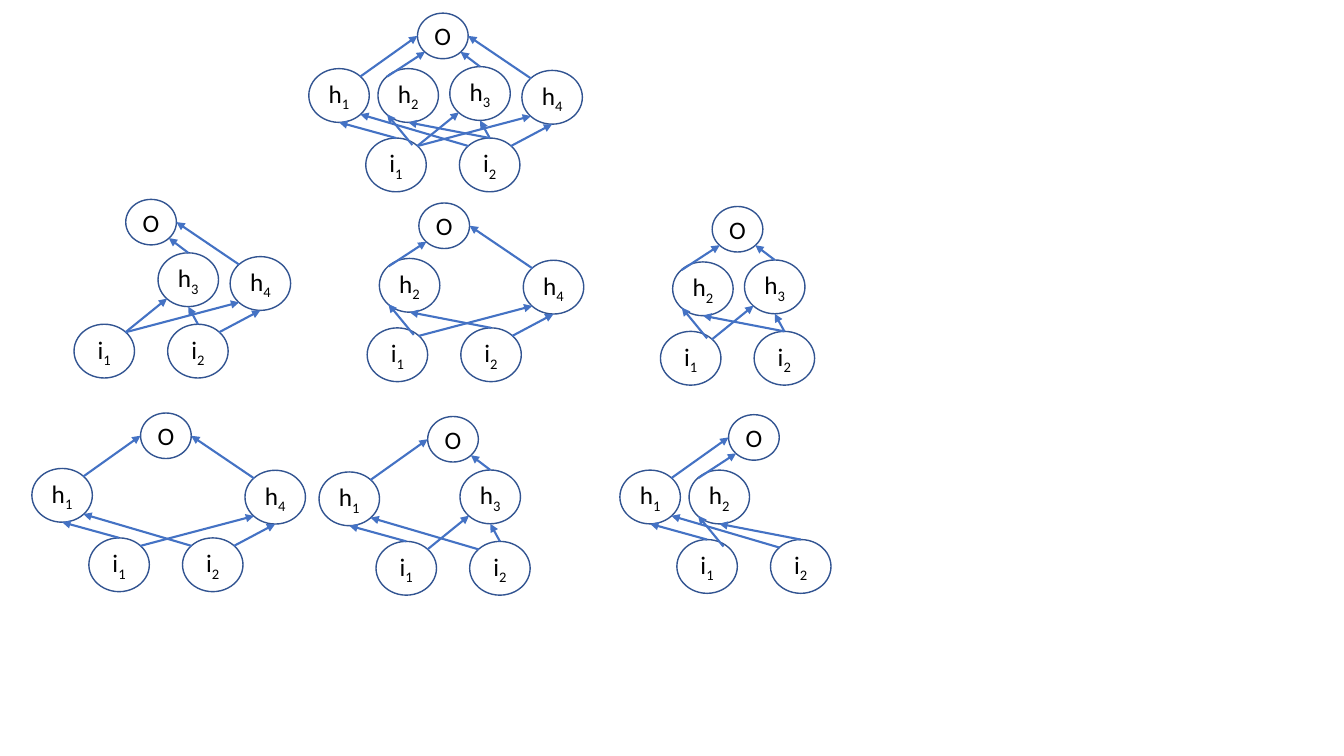
from lxml import etree
from pptx import Presentation
from pptx.dml.color import RGBColor
from pptx.enum.shapes import MSO_CONNECTOR, MSO_SHAPE
from pptx.enum.text import MSO_ANCHOR, PP_ALIGN
from pptx.oxml.ns import qn
from pptx.util import Pt

ELLIPSE = MSO_SHAPE.OVAL
STRAIGHT = MSO_CONNECTOR.STRAIGHT
MIDDLE = MSO_ANCHOR.MIDDLE
CENTER = PP_ALIGN.CENTER

OUTPUT_SIZE = (36.2, 32.5)
NEURON_SIZE = (43.2, 38.4)
FRAME_FORMAT = {
    "margin_left": 0, "margin_right": 0, "margin_top": 0, "margin_bottom": 0,
    "vertical_anchor": MIDDLE, "word_wrap": False,
}
FONT_FORMAT = {"name": "Calibri", "size": Pt(18)}

neuron_offsets = {
    "O": (0, 0),
    "h1": (-77.6, 39.6),
    "h2": (-28.2, 39.6),
    "h3": (23.1, 38.2),
    "h4": (74.6, 40.9),
    "i1": (-36.9, 89.2),
    "i2": (30, 89.2),
}
sites = {
    "top": (0.5, 0), "bottom": (0.5, 1), "left": (0, 0.5), "right": (1, 0.5),
    "top left": (0.15, 0.15), "top right": (0.85, 0.15),
    "bottom left": (0.15, 0.85), "bottom right": (0.85, 0.85),
    "inside": (0.77, 0.13),
}
links = [
    ("h1", "top right", "O", "left"),
    ("h2", "top left", "O", "bottom left"),
    ("h3", "top", "O", "bottom right"),
    ("h4", "top left", "O", "right"),
    ("i1", "top", "h1", "bottom"),
    ("i1", "inside", "h2", "bottom left"),
    ("i1", "top right", "h3", "bottom left"),
    ("i1", "top right", "h4", "bottom left"),
    ("i2", "top left", "h1", "bottom right"),
    ("i2", "top", "h2", "bottom"),
    ("i2", "top", "h3", "bottom"),
    ("i2", "top right", "h4", "bottom"),
]
networks = [
    (298.2, 9.4, ["h1", "h2", "h3", "h4"]),
    (89.8, 142.4, ["h3", "h4"]),
    (299.2, 145, ["h2", "h4"]),
    (508.7, 147.5, ["h2", "h3"]),
    (100.4, 295, ["h1", "h4"]),
    (305.5, 297.5, ["h1", "h3"]),
    (520.4, 296.2, ["h1", "h2"]),
]


def color(hex_text):
    return RGBColor.from_string(hex_text)


def apply_format(target, values):
    for name, value in values.items():
        setattr(target, name, value)


deck = Presentation()
deck.slide_width, deck.slide_height = Pt(960), Pt(540)
page = deck.slides.add_slide(deck.slide_layouts[6])

for left, top, middle_neurons in networks:
    neurons = {}
    for label in ["O", *middle_neurons, "i1", "i2"]:
        dx, dy = neuron_offsets[label]
        width, height = OUTPUT_SIZE if label == "O" else NEURON_SIZE
        neuron = page.shapes.add_shape(
            ELLIPSE, Pt(left + dx), Pt(top + dy), Pt(width), Pt(height))
        neuron.shadow.inherit = False
        neuron.fill.background()
        neuron.line.color.rgb = color("325491")
        neuron.line.width = Pt(1)
        apply_format(neuron.text_frame, FRAME_FORMAT)
        para = neuron.text_frame.paragraphs[0]
        para.alignment = CENTER
        for character in label:
            span = para.add_run()
            span.text = character
            apply_format(span.font, FONT_FORMAT)
            span.font.color.rgb = color("000000")
            if character.isdigit():
                span._r.get_or_add_rPr().set("baseline", "-25000")
        neurons[label] = neuron

    for source, source_site, target, target_site in links:
        if source not in neurons or target not in neurons:
            continue
        ends = []
        for label, site in [(source, source_site), (target, target_site)]:
            neuron = neurons[label]
            across, down = sites[site]
            ends += [round(neuron.left + across * neuron.width),
                     round(neuron.top + down * neuron.height)]
        arrow = page.shapes.add_connector(STRAIGHT, *ends)
        arrow.line.color.rgb = color("4472C4")
        arrow.line.width = Pt(1.5)
        properties = arrow._element.spPr
        etree.SubElement(properties.find(qn("a:ln")), qn("a:tailEnd"), type="triangle")
        etree.SubElement(properties, qn("a:effectLst"))

deck.save("out.pptx")
